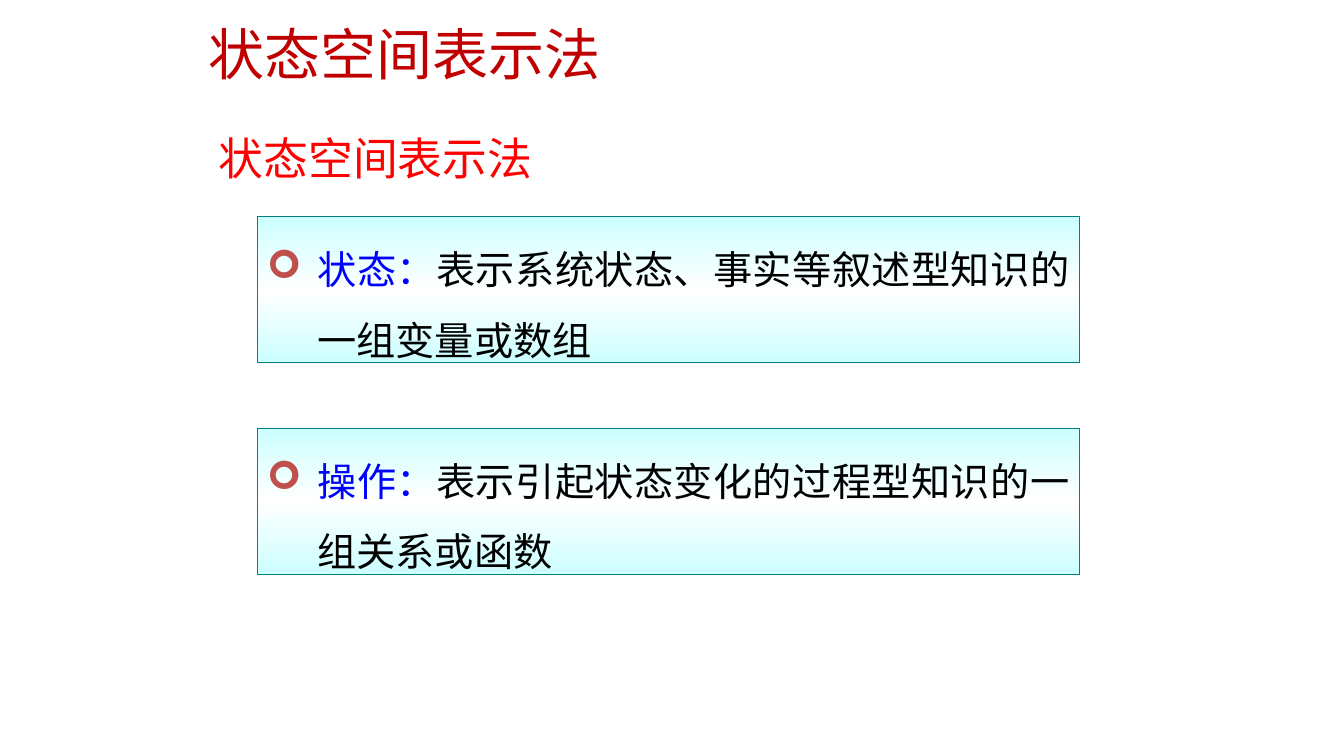
from lxml import etree
from pptx import Presentation
from pptx.dml.color import RGBColor
from pptx.enum.shapes import MSO_SHAPE
from pptx.enum.text import MSO_ANCHOR, MSO_AUTO_SIZE, PP_ALIGN
from pptx.oxml import parse_xml
from pptx.oxml.ns import nsdecls, qn
from pptx.util import Inches, Pt

RECT = MSO_SHAPE.RECTANGLE
TOP, MIDDLE = MSO_ANCHOR.TOP, MSO_ANCHOR.MIDDLE
GROW = MSO_AUTO_SIZE.SHAPE_TO_FIT_TEXT
LEFT, JUSTIFY = PP_ALIGN.LEFT, PP_ALIGN.JUSTIFY
COLORS = {"title": "C00000", "heading": "FF0000", "term": "0000FF", "body": "000000",
          "bullet": "C0504D", "border": "008080", "edge": "CCFFFF", "center": "FFFFFF"}
HEAD_FONT, BODY_FONT = "Noto Sans CJK JP", "Noto Sans CJK SC"
DEFINITIONS = [("状态：", "表示系统状态、事实等叙述型知识的一组变量或数组"),
               ("操作：", "表示引起状态变化的过程型知识的一组关系或函数")]


def set_format(target, values):
    """Set each named attribute on the target."""
    for name, value in values.items():
        setattr(target, name, value)


def add_run(p, text, size, font, color):
    """Append a run with its Latin and East Asian font."""
    r = p.add_run()
    r.text = text
    set_format(r.font, {"size": Pt(size), "name": font})
    r.font.color.rgb = RGBColor.from_string(COLORS[color])
    etree.SubElement(r.font._element, qn("a:ea"), typeface=font)


def add_heading(s, box, text, size, color, frame):
    """Place one heading line in the box."""
    tf = s.shapes.add_textbox(*map(Inches, box)).text_frame
    set_format(tf, {"word_wrap": True, **frame})
    add_run(tf.paragraphs[0], text, size, HEAD_FONT, color)


def fill_gradient(sp):
    """Fill the shape with a vertical gradient that is lightest halfway."""
    stops = "".join(f'<a:gs pos="{pos}"><a:srgbClr val="{COLORS[key]}"/></a:gs>'
                    for pos, key in ((0, "edge"), (50000, "center"), (100000, "edge")))
    sp.fill.gradient()
    grad = sp._element.spPr.find(qn("a:gradFill"))
    grad.getparent().replace(grad, parse_xml(
        f'<a:gradFill {nsdecls("a")} rotWithShape="1"><a:gsLst>{stops}</a:gsLst>'
        '<a:lin ang="5400000" scaled="1"/></a:gradFill>'))


def add_bullet(p, indent):
    """Give the paragraph an arrow bullet with a hanging indent."""
    pPr = p._p.get_or_add_pPr()
    pPr.set("marL", str(Inches(indent)))
    pPr.set("indent", str(-Inches(indent)))
    color = etree.SubElement(pPr, qn("a:buClr"))
    etree.SubElement(color, qn("a:srgbClr"), val=COLORS["bullet"])
    etree.SubElement(pPr, qn("a:buFont"), typeface="Wingdings")
    etree.SubElement(pPr, qn("a:buChar"), char="➢")


def add_definition(s, box, term, meaning):
    """Place a bordered definition in the box."""
    sp = s.shapes.add_shape(RECT, *map(Inches, box))
    sp.shadow.inherit = False
    fill_gradient(sp)
    sp.line.color.rgb = RGBColor.from_string(COLORS["border"])
    sp.line.width = Pt(0.75)
    tf = sp.text_frame
    set_format(tf, {"word_wrap": True, "vertical_anchor": TOP, "auto_size": GROW})
    p = tf.paragraphs[0]
    set_format(p, {"alignment": JUSTIFY, "line_spacing": 1.5})
    add_bullet(p, 0.5)
    add_run(p, term, 28, BODY_FONT, "term")
    add_run(p, meaning, 28, BODY_FONT, "body")


def build_slide(prs):
    """Build the slide with its headings and definitions."""
    s = prs.slides.add_slide(prs.slide_layouts[6])
    add_heading(s, (1.97, 0.11, 9.16, 0.72), "状态空间表示法", 40, "title",
                {"vertical_anchor": MIDDLE, "margin_top": Inches(0.16)})
    add_heading(s, (2.07, 1.25, 8.86, 0.64), "状态空间表示法", 32, "heading",
                {"auto_size": GROW})
    for i, (term, meaning) in enumerate(DEFINITIONS):
        add_definition(s, (2.55, 2.15 + 2.1 * i, 8.16, 1.45), term, meaning)


def main():
    """Create and save the presentation."""
    prs = Presentation()
    set_format(prs, {"slide_width": Inches(13.33), "slide_height": Inches(7.5)})
    build_slide(prs)
    prs.save("out.pptx")


if __name__ == "__main__":
    main()
